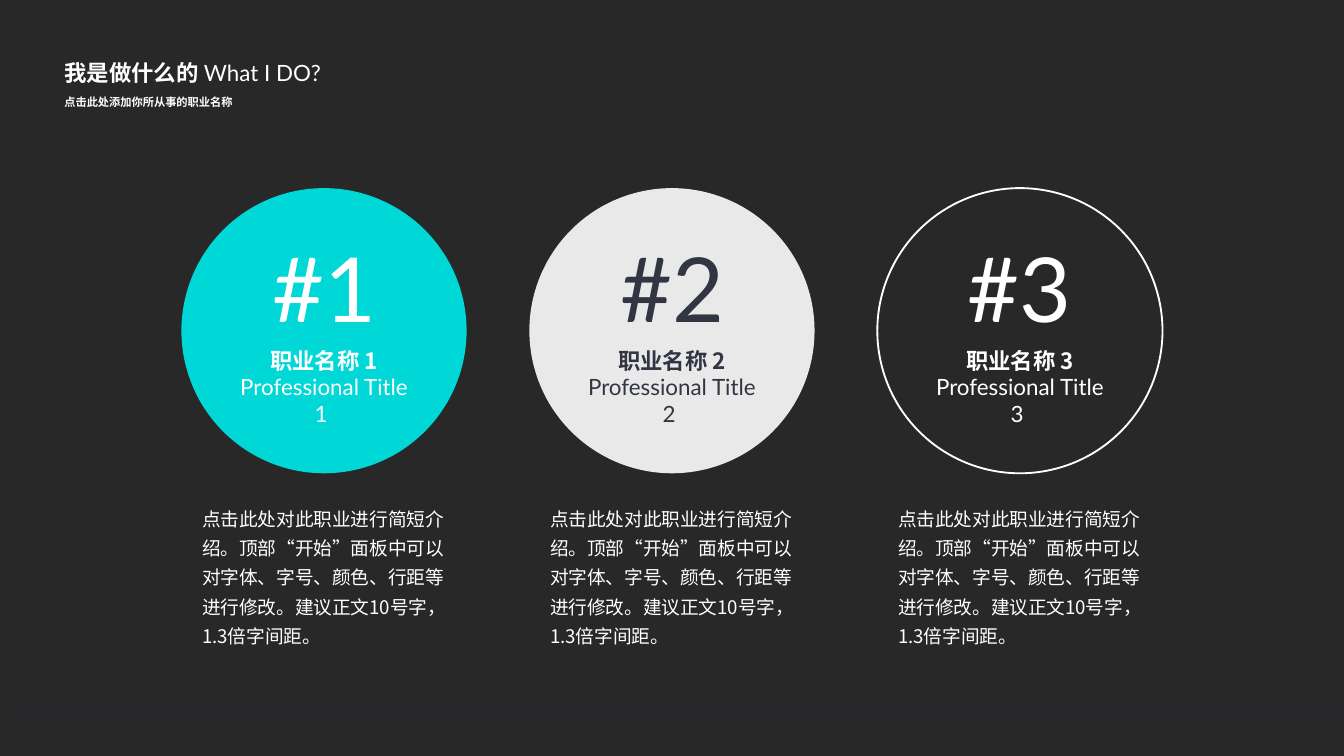
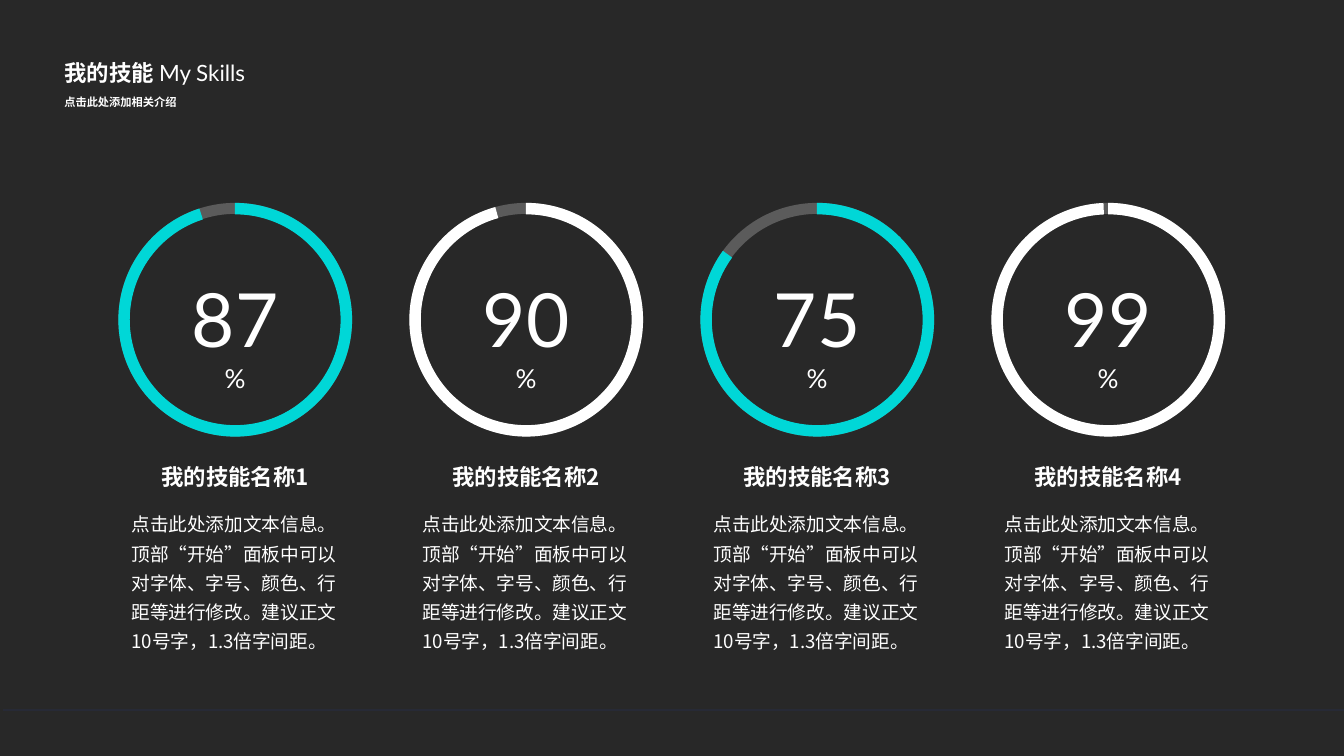
from lxml import etree
from pptx import Presentation
from pptx.dml.color import RGBColor
from pptx.enum import shapes, text
from pptx.oxml import ns
from pptx.util import Pt

COLORS = {
    "background": "282828",
    "accent": "00D7D7",
    "white": "FFFFFF",
    "dark": "323643",
    "rule": "272A36",
}
CHINESE, LATIN = "Noto Sans CJK SC", "Lato"
CENTER = text.PP_ALIGN.CENTER
FORMAT_ADVICE = "顶部“开始”面板中可以对字体、字号、颜色、行距等进行修改。建议正文10号字，1.3倍字间距。"
JOB_INTRO = "点击此处对此职业进行简短介绍。" + FORMAT_ADVICE
SKILL_INTRO = "点击此处添加文本信息。"


def color(name):
    """Return the RGB value of a named colour."""
    return RGBColor.from_string(COLORS[name])


def add_text(parent, box, paragraphs, align=None, spacing=None):
    """Add a text box; each run is (words, size, font, colour, bold)."""
    shape = parent.add_textbox(*map(Pt, box))
    frame = shape.text_frame
    frame.word_wrap = True
    frame.auto_size = text.MSO_AUTO_SIZE.SHAPE_TO_FIT_TEXT
    for index, runs in enumerate(paragraphs):
        paragraph = frame.add_paragraph() if index else frame.paragraphs[0]
        paragraph.alignment = align
        paragraph.line_spacing = spacing
        for words, size, family, color_name, bold in runs:
            run = paragraph.add_run()
            run.text = words
            font = run.font
            font.size, font.name, font.bold = Pt(size), family, bold
            font.color.rgb = color(color_name)
            east_asian = etree.SubElement(run._r.get_or_add_rPr(), ns.qn("a:ea"))
            east_asian.set("typeface", CHINESE)


def add_shape(parent, kind, box, fill=None, opacity=100, line=None):
    """Add a flat preset shape with an optional fill and outline."""
    shape = parent.add_shape(kind, *map(Pt, box))
    shape.shadow.inherit = False
    if fill:
        shape.fill.solid()
        shape.fill.fore_color.rgb = color(fill)
        if opacity < 100:
            value = shape._element.spPr.find(".//" + ns.qn("a:srgbClr"))
            etree.SubElement(value, ns.qn("a:alpha")).set("val", str(opacity * 1000))
    else:
        shape.fill.background()
    if line:
        shape.line.color.rgb = color(line)
        shape.line.width = Pt(1)
    else:
        shape.line.fill.background()
    return shape


def add_arc(parent, box, start, end, thickness, fill, opacity=100):
    """Add a ring segment that runs clockwise from the top."""
    shape = add_shape(parent, shapes.MSO_SHAPE.BLOCK_ARC, box, fill, opacity)
    shape.adjustments[0] = start * 0.6
    shape.adjustments[1] = end * 0.6
    shape.adjustments[2] = thickness
    shape.rotation = 270
    shape._element.spPr.find(ns.qn("a:xfrm")).set("flipV", "1")


def add_heading(slide, box, chinese, english, subtitle):
    """Add the two-line slide heading."""
    left, top, width, height = box
    group = slide.shapes.add_group_shape().shapes
    title = [(chinese + " ", 12, CHINESE, "white", True), (english, 12, LATIN, "white", False)]
    add_text(group, (left, top, width, height), [title])
    add_text(group, (left, top + 18, 158.4, 15.8),
             [[(subtitle, 6, CHINESE, "white", True)]], spacing=1.2)


def add_footer_rule(slide, left, right, top):
    """Add the thin rule near the foot of the slide."""
    line = slide.shapes.add_connector(
        shapes.MSO_CONNECTOR.STRAIGHT, Pt(right), Pt(top), Pt(left), Pt(top))
    line.line.color.rgb = color("rule")
    line.line.width = Pt(1)
    etree.SubElement(line._element.spPr, ns.qn("a:effectLst"))


def add_slide(presentation, heading_width, chinese, english, subtitle):
    """Add a blank slide with background and heading."""
    slide = presentation.slides.add_slide(presentation.slide_layouts[6])
    slide.background.fill.solid()
    slide.background.fill.fore_color.rgb = color("background")
    add_heading(slide, (27.4, 28.1, heading_width, 21.6), chinese, english, subtitle)
    return slide


def add_job_circle(slide, box, number, ink, **style):
    """Add a numbered circle with its job title."""
    left, top, size, _ = box
    group = slide.shapes.add_group_shape().shapes
    add_shape(group, shapes.MSO_SHAPE.OVAL, box, **style)
    add_text(group, (left + (size - 82) / 2, top + 20.2, 82, 65.5),
             [[(f"#{number}", 48, LATIN, ink, False)]], CENTER)
    title = [(f"职业名称 {number} ", 12, CHINESE, ink, True),
             (f"Professional Title {number} ", 12, LATIN, ink, False)]
    add_text(group, (left + (size - 109.4) / 2, top + 81.4, 109.4, 36), [title], CENTER)


def add_body(slide, box, paragraphs):
    """Add a block of body text."""
    runs = [[(words, 10, CHINESE, "white", False)] for words in paragraphs]
    add_text(slide.shapes, box, runs, spacing=1.3)


def add_skill_ring(slide, box, number, percent, gap_angle, fill):
    """Add a progress ring with its value and skill name."""
    left, top, size, _ = box
    add_arc(slide.shapes, box, 213.24, 213.18, 0.047, "white", 24)
    add_arc(slide.shapes, box, gap_angle, 0.13, 0.049, fill)
    value = [(str(percent), 40, LATIN, "white", False), ("%", 14, LATIN, "white", False)]
    add_text(slide.shapes, (left + (size - 70.6) / 2, top + 33.9, 70.6, 55.4), [value], CENTER)
    add_text(slide.shapes, (left + (size - 105.1) / 2, top + 136.1, 105.1, 21.6),
             [[(f"我的技能名称{number}", 12, CHINESE, "white", True)]], CENTER)


def build_jobs(presentation):
    """Build the slide of three jobs."""
    slide = add_slide(presentation, 225.4, "我是做什么的", "What I DO?", "点击此处添加你所从事的职业名称")
    styles = [
        {"ink": "white", "fill": "accent"},
        {"ink": "dark", "fill": "white", "opacity": 90},
        {"ink": "white", "line": "white"},
    ]
    size, pitch = 152.8, 186.4
    lefts = [(720 - size) / 2 + (index - 1) * pitch for index in range(3)]
    for number, (left, style) in enumerate(zip(lefts, styles), 1):
        add_job_circle(slide, (left, 100.8, size, size), number, **style)
    for left in lefts:
        add_body(slide, (left + 4, 265, 144.7, 85.7), [JOB_INTRO])
    add_footer_rule(slide, 1.4, 720, 380.2)


def build_skills(presentation):
    """Build the slide of four skills."""
    slide = add_slide(presentation, 169.9, "我的技能", "My Skills", "点击此处添加相关介绍")
    skills = [(87, 17.86, "accent"), (90, 15.35, "white"),
              (75, 53.85, "accent"), (99, 2.35, "white")]
    size, pitch = 125.2, 155.9
    lefts = [63.4 + index * pitch for index in range(len(skills))]
    for number, (left, skill) in enumerate(zip(lefts, skills), 1):
        add_skill_ring(slide, (left, 108.7, size, size), number, *skill)
    for left in lefts:
        add_body(slide, (left, 267.8, size, 85.7), [SKILL_INTRO, FORMAT_ADVICE])
    add_footer_rule(slide, 1.4, 720, 380.2)


presentation = Presentation()
presentation.slide_width, presentation.slide_height = Pt(720), Pt(405)
build_jobs(presentation)
build_skills(presentation)
presentation.save("out.pptx")
